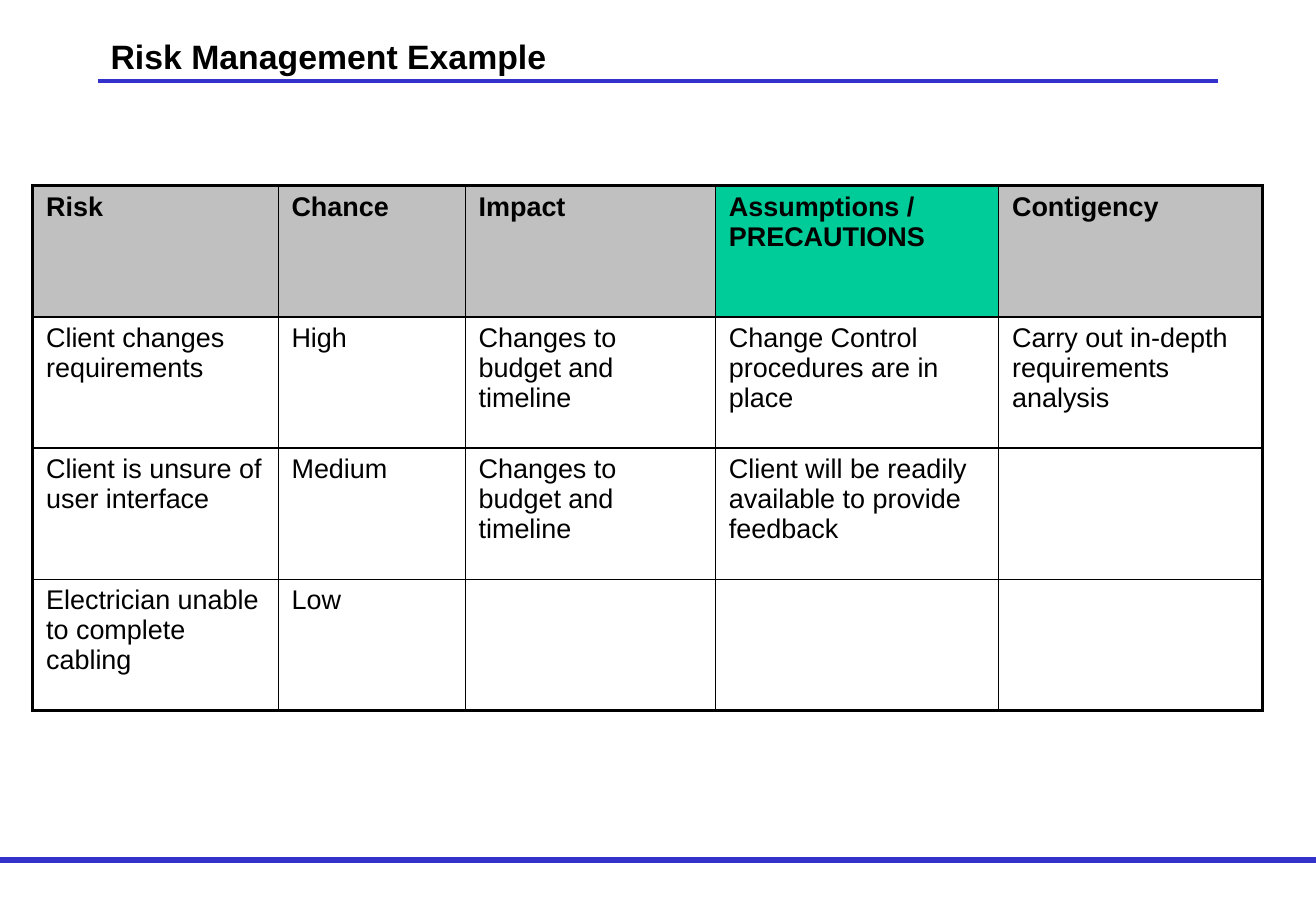
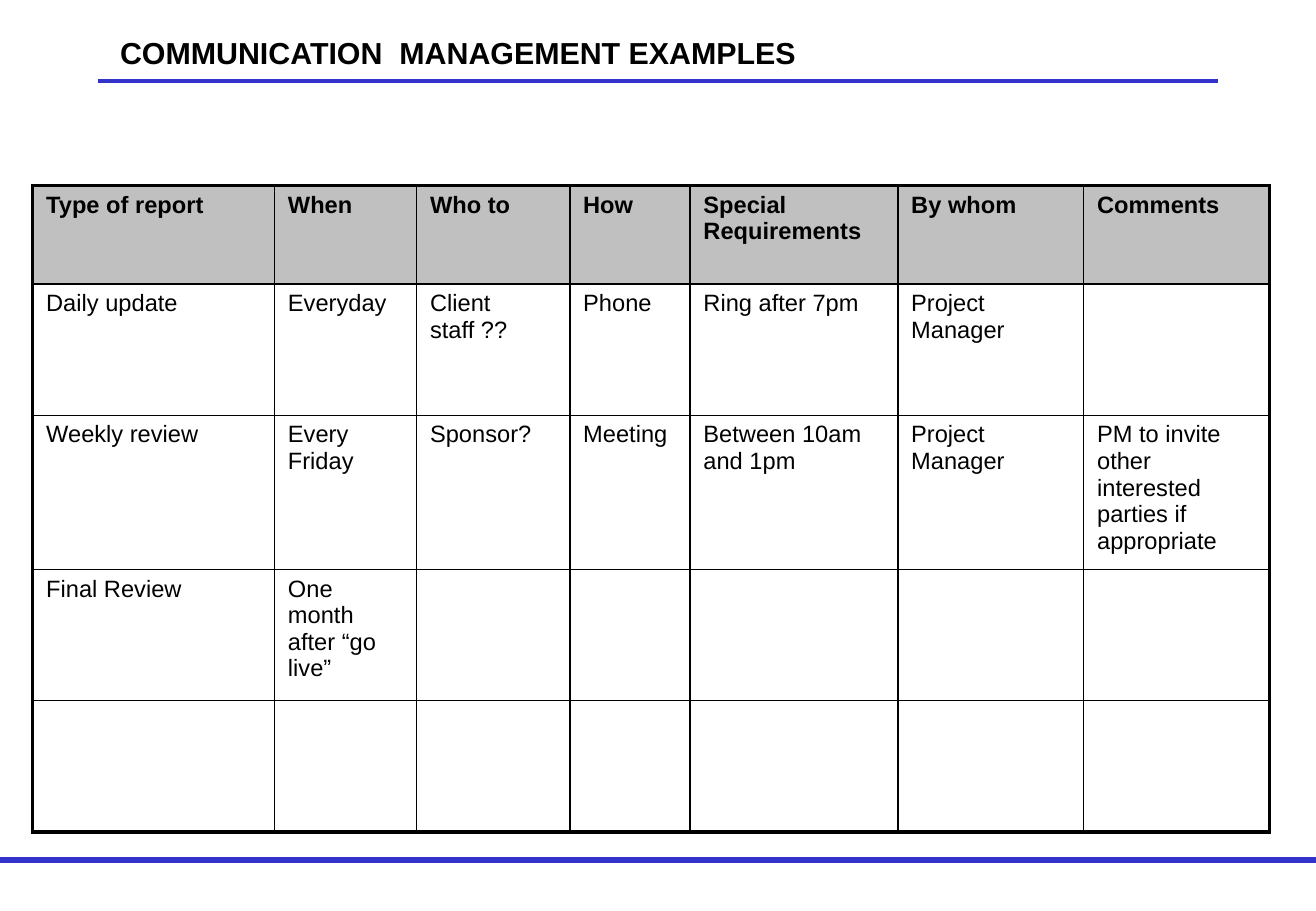
import pptx
import pptx.dml.color
import pptx.enum.shapes
import pptx.enum.text
import pptx.oxml.xmlchemy
import pptx.util
from lxml import etree
from pptx.oxml.ns import qn
from pptx.util import Inches

COLORS = {
    "rule": "3333CC",
    "ink": "000000",
    "header": "C0C0C0",
    "accent": "00CC99",
}
FONT = "Arial"
OUTER, INNER = 2.25, 1
LEFT = pptx.enum.text.PP_ALIGN.LEFT
CENTER = pptx.enum.text.PP_ALIGN.CENTER


def color(name):
    return pptx.dml.color.RGBColor.from_string(COLORS[name])


def write(frame, text, size=16, bold=False, align=LEFT):
    para = frame.paragraphs[0]
    para.alignment = align
    span = para.add_run()
    span.text = text
    span.font.name = FONT
    span.font.size = pptx.util.Pt(size)
    span.font.bold = bold
    span.font.color.rgb = color("ink")
    return para


def space_before(para, percent):
    """Set the space before as a share of the line, which python-pptx cannot."""
    spacing = etree.SubElement(para._p.get_or_add_pPr(), qn("a:spcBef"))
    etree.SubElement(spacing, qn("a:spcPct"), val=str(percent * 1000))


def set_borders(cell, widths):
    """Draw the cell's edges; widths maps L, R, T and B to points."""
    properties = cell._tc.get_or_add_tcPr()
    for side, width in widths.items():
        edge = etree.SubElement(
            properties, qn("a:ln" + side), w=str(int(pptx.util.Pt(width)))
        )
        fill = etree.SubElement(edge, qn("a:solidFill"))
        etree.SubElement(fill, qn("a:srgbClr"), val=COLORS["ink"])


class Deck:
    def __init__(self):
        self.deck = pptx.Presentation()
        self.deck.slide_width = Inches(10.83)
        self.deck.slide_height = Inches(7.5)
        self.page = None

    def add_page(self):
        self.page = self.deck.slides.add_slide(self.deck.slide_layouts[5])
        self.rule(0.81, 10.02, 0.67, 2.25)
        self.rule(0, 10.83, 7.08, 3)

    def rule(self, left, right, top, width):
        line = self.page.shapes.add_connector(
            pptx.enum.shapes.MSO_CONNECTOR.STRAIGHT,
            Inches(left), Inches(top), Inches(right), Inches(top),
        )
        line.line.color.rgb = color("rule")
        line.line.width = pptx.util.Pt(width)
        etree.SubElement(line._element.spPr, qn("a:effectLst"))

    def title(self, text, left, top, width, height, **style):
        box = self.page.shapes.title
        box.left, box.top = Inches(left), Inches(top)
        box.width, box.height = Inches(width), Inches(height)
        frame = box.text_frame
        frame.word_wrap = True
        frame.auto_size = pptx.enum.text.MSO_AUTO_SIZE.NONE
        frame.vertical_anchor = pptx.enum.text.MSO_ANCHOR.TOP
        frame.margin_top = Inches(0.07)
        write(frame, text, bold=True, **style)

    def table(self, rows, widths, heights, size, accent=None):
        """Add a table with a grey header; accent is the header column in green."""
        grid = self.page.shapes.add_table(
            len(rows), len(widths), Inches(0.27), Inches(1.53),
            Inches(sum(widths)), Inches(sum(heights)),
        ).table
        grid.first_row = grid.horz_banding = False
        for column, width in zip(grid.columns, widths):
            column.width = Inches(width)
        for row, height in zip(grid.rows, heights):
            row.height = Inches(height)
        last_row, last_column = len(rows) - 1, len(widths) - 1
        for r, texts in enumerate(rows):
            for c, text in enumerate(texts):
                cell = grid.cell(r, c)
                cell.margin_left = cell.margin_right = Inches(0.11)
                cell.margin_top = cell.margin_bottom = Inches(0.05)
                set_borders(cell, {
                    "L": OUTER if c == 0 else INNER,
                    "R": OUTER if c == last_column else INNER,
                    "T": OUTER if r == 0 else INNER,
                    "B": OUTER if r == last_row else INNER,
                })
                if r == 0:
                    cell.fill.solid()
                    cell.fill.fore_color.rgb = color("accent" if c == accent else "header")
                else:
                    cell.fill.background()
                if text:
                    para = write(cell.text_frame, text, size=size, bold=r == 0)
                    space_before(para, 20)


RISKS = [
    ["Risk", "Chance", "Impact", "Assumptions / PRECAUTIONS", "Contigency"],
    ["Client changes requirements", "High", "Changes to budget and timeline",
     "Change Control procedures are in place", "Carry out in-depth requirements analysis"],
    ["Client is unsure of user interface", "Medium", "Changes to budget and timeline",
     "Client will be readily available to provide feedback", ""],
    ["Electrician unable to complete cabling", "Low", "", "", ""],
]
REPORTS = [
    ["Type of report", "When", "Who to", "How", "Special Requirements", "By whom", "Comments"],
    ["Daily update", "Everyday", "Client staff ??", "Phone", "Ring after 7pm",
     "Project Manager", ""],
    ["Weekly review", "Every Friday", "Sponsor?", "Meeting", "Between 10am and 1pm",
     "Project Manager", "PM to invite other interested parties if appropriate"],
    ["Final Review", "One month after “go live”"] + [""] * 5,
    [""] * 7,
]


def main():
    slides = Deck()

    slides.add_page()
    slides.title("Risk Management Example", 0.81, 0.22, 9.2, 1.25, size=20)
    slides.table(RISKS, [2.02, 1.54, 2.06, 2.33, 2.17], [1.08] * 4, size=16, accent=3)

    slides.add_page()
    slides.title("COMMUNICATION  MANAGEMENT EXAMPLES", 0.77, 0.21, 6, 0.81,
                 size=18, align=CENTER)
    slides.table(REPORTS, [1.99, 1.17, 1.26, 0.99, 1.71, 1.53, 1.53],
                 [0.81, 1.08, 1.27, 1.08, 1.08], size=14)

    slides.deck.save("out.pptx")


if __name__ == "__main__":
    main()
